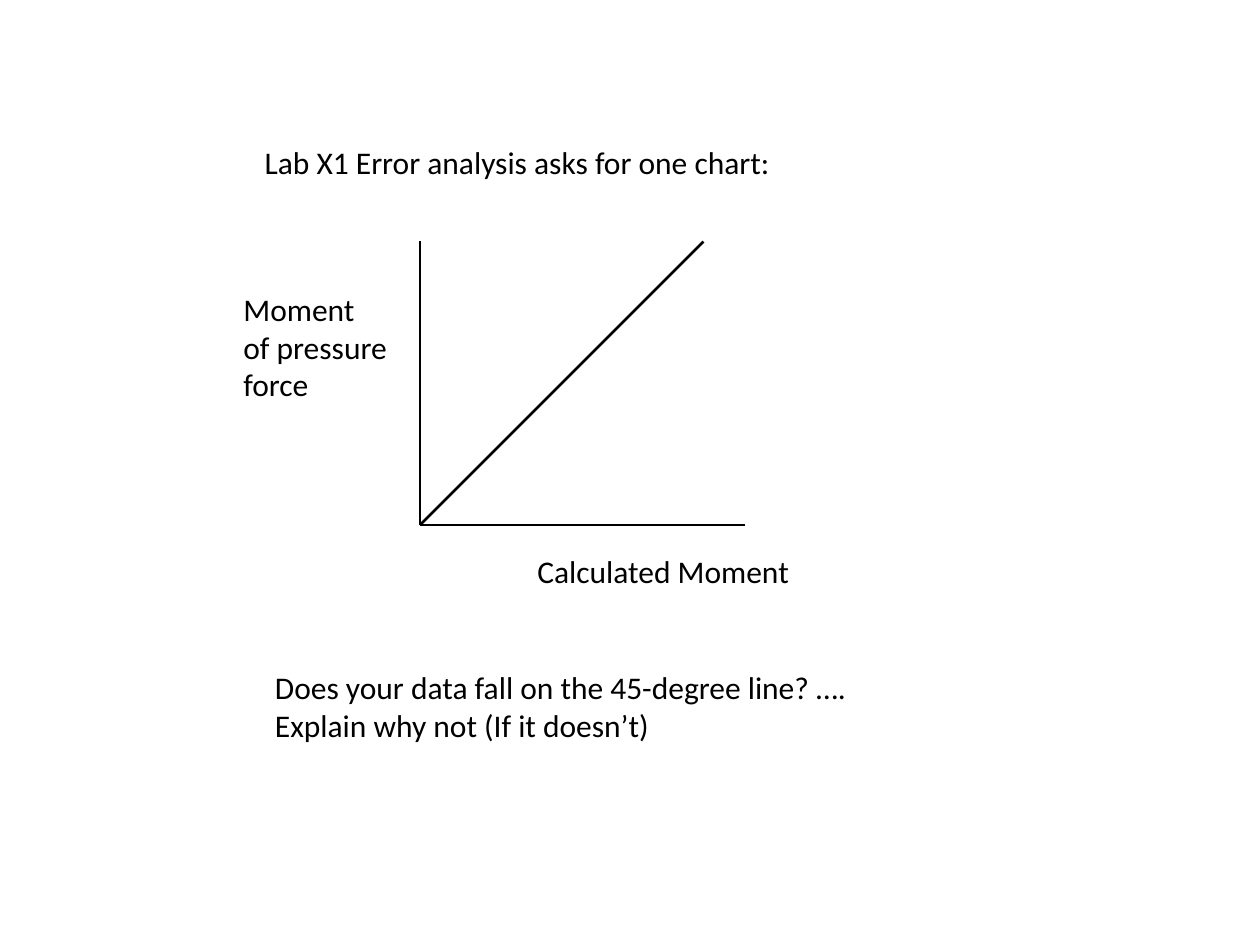
from pptx import Presentation
from pptx.dml.color import RGBColor
from pptx.enum.shapes import MSO_CONNECTOR
from pptx.enum.text import MSO_ANCHOR, MSO_AUTO_SIZE, PP_ALIGN
from pptx.oxml.ns import qn
from pptx.util import Pt
from lxml import etree

BLACK = "000000"


def color(hex_text):
    return RGBColor.from_string(hex_text)


def fill_text(shape, lines):
    frame = shape.text_frame
    frame.word_wrap = False
    frame.auto_size = MSO_AUTO_SIZE.SHAPE_TO_FIT_TEXT
    frame.vertical_anchor = MSO_ANCHOR.TOP
    for index, line in enumerate(lines):
        paragraph = frame.add_paragraph() if index else frame.paragraphs[0]
        paragraph.alignment = PP_ALIGN.LEFT
        run = paragraph.add_run()
        run.text = line
        run.font.name = "Calibri"
        run.font.size = Pt(18)
        run.font.color.rgb = color(BLACK)


def add_title(slide, left, top, width, height, text):
    title = slide.shapes.title
    title.left, title.top = Pt(left), Pt(top)
    title.width, title.height = Pt(width), Pt(height)
    fill_text(title, [text])


def add_text(slide, left, top, width, height, lines):
    shape = slide.shapes.add_textbox(Pt(left), Pt(top), Pt(width), Pt(height))
    fill_text(shape, lines)


def add_line(slide, start, end, weight):
    line = slide.shapes.add_connector(
        MSO_CONNECTOR.STRAIGHT, *(Pt(value) for value in (*start, *end)))
    line.line.color.rgb = color(BLACK)
    line.line.width = Pt(weight)
    etree.SubElement(line._element.spPr, qn("a:effectLst"))


def add_moment_plot(slide, left, top, width, height):
    """Draw two labelled axes and the 45-degree line between them."""
    bottom = top + height
    origin = (left, bottom)
    add_line(slide, (left, top), origin, 0.75)
    add_line(slide, (left + width, bottom), origin, 0.75)
    add_line(slide, (left + height, top), origin, 1.5)
    add_text(slide, left + 60, bottom + 12, 160, 29, ["Calculated Moment"])
    add_text(slide, left - 108, top + 24, 100, 73,
             ["Moment", "of pressure", "force"])


def main():
    presentation = Presentation()
    presentation.slide_width, presentation.slide_height = Pt(720), Pt(540)
    slide = presentation.slides.add_slide(presentation.slide_layouts[5])
    add_title(slide, 144, 78, 307, 29,
              "Lab X1 Error analysis asks for one chart:")
    add_moment_plot(slide, 240, 138, 186, 162)
    add_text(slide, 150, 378, 345, 51,
             ["Does your data fall on the 45-degree line? ….",
              "Explain why not (If it doesn’t)"])
    presentation.save("out.pptx")


if __name__ == "__main__":
    main()
